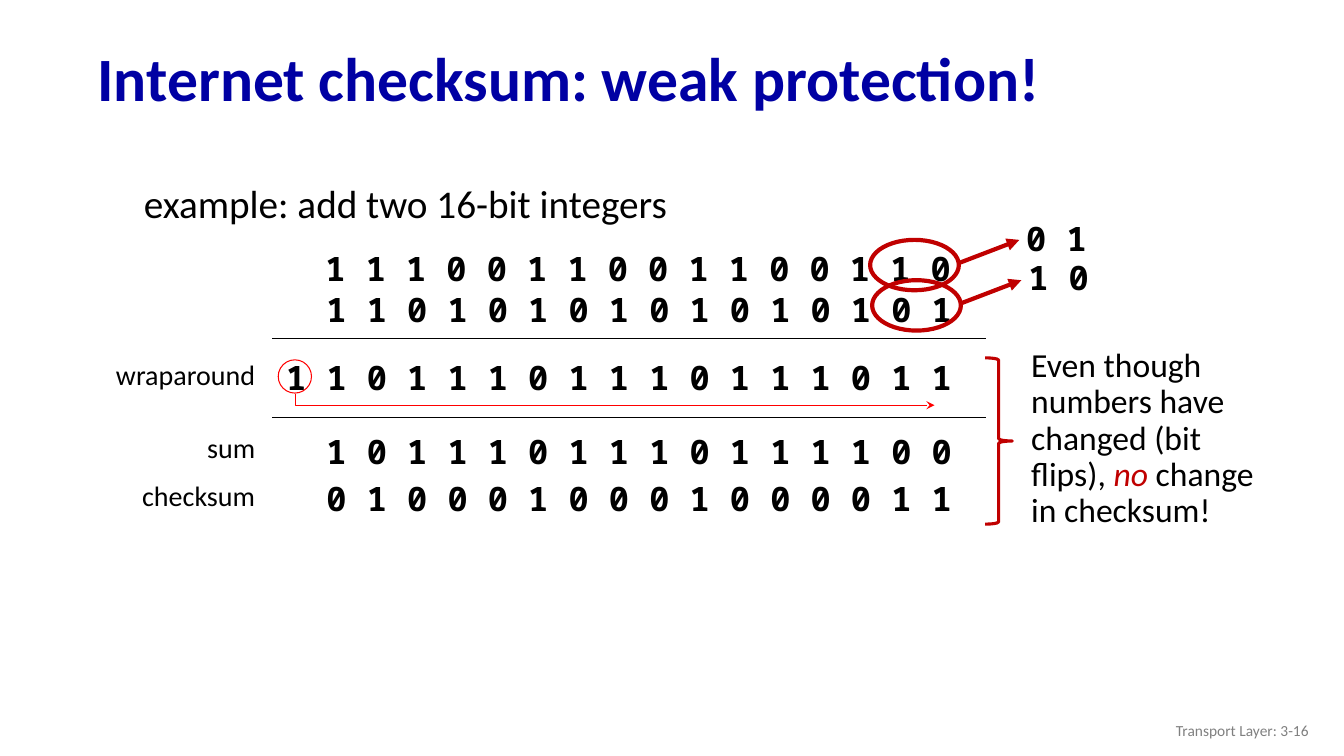
from lxml import etree
from pptx import Presentation, util as u
from pptx.dml.color import RGBColor
from pptx.enum import shapes, text
from pptx.oxml.ns import qn

Inches, Pt = u.Inches, u.Pt
COLORS = {"title": "0000A3", "ink": "000000", "wrap": "FF0000",
          "flip": "C00000", "footer": "808080"}
SANS, MONO = "Calibri", "Noto Sans Mono"

deck = Presentation()
deck.slide_width, deck.slide_height = Inches(13.33), Inches(7.5)
page = deck.slides.add_slide(deck.slide_layouts[6])


def add_text(words, left, top, width, height, size, font=SANS, color="ink",
             bold=False, align="LEFT", anchor="TOP", spacing=1.0):
    box = page.shapes.add_textbox(*map(Inches, (left, top, width, height)))
    frame = box.text_frame
    frame.word_wrap = True
    frame.vertical_anchor = text.MSO_ANCHOR[anchor]
    para = frame.paragraphs[0]
    para.text = words
    para.alignment = text.PP_ALIGN[align]
    para.line_spacing = spacing
    para.font.name, para.font.size, para.font.bold = font, Pt(size), bold
    para.font.color.rgb = RGBColor.from_string(COLORS[color])
    return para


def style_outline(shape, color, weight, arrow=None):
    shape.line.color.rgb = RGBColor.from_string(COLORS[color])
    shape.line.width = Pt(weight)
    props = shape.element.spPr
    if arrow:
        etree.SubElement(props.find(qn("a:ln")), qn("a:tailEnd"), type=arrow)
    if hasattr(shape, "fill"):
        shape.fill.background()
        shape.shadow.inherit = False
    else:
        etree.SubElement(props, qn("a:effectLst"))


# Title, introduction and footer
add_text("Internet checksum: weak protection!", 0.87, 0.32, 12.14, 0.98, 44,
         color="title", bold=True, anchor="MIDDLE", spacing=0.9)
intro = add_text("example: add two 16-bit integers", 1.33, 1.59, 8.5, 0.8, 28,
                 spacing=1.3)
intro.space_before = Pt(10)
add_text("Transport Layer: 3-16", 10.08, 7.05, 3, 0.4, 11, color="footer",
         align="RIGHT", anchor="MIDDLE")

# Binary numbers
for bits, left, top in [
    ("1 1 1 0 0 1 1 0 0 1 1 0 0 1 1 0", 3.13, 2.41),
    ("1 1 0 1 0 1 0 1 0 1 0 1 0 1 0 1", 3.14, 2.82),
    ("1 1 0 1 1 1 0 1 1 1 0 1 1 1 0 1 1", 2.74, 3.49),
    ("1 0 1 1 1 0 1 1 1 0 1 1 1 1 0 0", 3.14, 4.23),
    ("0 1 0 0 0 1 0 0 0 1 0 0 0 0 1 1", 3.14, 4.69),
]:
    add_text(bits, left, top, 7, 0.5, 24, MONO, bold=True)

# Row labels
for label, top in [("wraparound", 3.5), ("sum", 4.22), ("checksum", 4.7)]:
    add_text(label, 0.83, top, 1.8, 0.44, 20, align="RIGHT")

# Rules above and below the wraparound row
for y in (3.36, 4.14):
    rule = page.shapes.add_connector(shapes.MSO_CONNECTOR.STRAIGHT, Inches(2.7),
                                     Inches(y), Inches(9.78), Inches(y))
    style_outline(rule, "ink", 1)

# Carry bit and its path to the last column
carry = page.shapes.add_shape(shapes.MSO_SHAPE.OVAL, Inches(2.76), Inches(3.57),
                              Inches(0.33), Inches(0.33))
style_outline(carry, "wrap", 0.75)
builder = page.shapes.build_freeform(Inches(2.93), Inches(3.91))
builder.add_line_segments([(Inches(2.93), Inches(4.02)),
                           (Inches(9.27), Inches(4.02))], close=False)
style_outline(builder.convert_to_shape(), "wrap", 0.75, "stealth")

# Flipped bits: ring, arrow and new value
for new_bits, left, top, text_top in [("0 1", 8.63, 2.38, 2.11),
                                      ("1 0", 8.65, 2.78, 2.5)]:
    ring = page.shapes.add_shape(shapes.MSO_SHAPE.OVAL, Inches(left), Inches(top),
                                 Inches(0.88), Inches(0.5))
    style_outline(ring, "flip", 3)
    arrow = page.shapes.add_connector(
        shapes.MSO_CONNECTOR.STRAIGHT, Inches(left + 0.88), Inches(top + 0.23),
        Inches(left + 1.48), Inches(top))
    style_outline(arrow, "flip", 3, "triangle")
    add_text(new_bits, left + 1.45, text_top, 1.01, 0.5, 24, MONO, bold=True)

# Conclusion beside the brace
brace = page.shapes.add_shape(shapes.MSO_SHAPE.RIGHT_BRACE, Inches(9.77),
                              Inches(3.55), Inches(0.27), Inches(1.65))
style_outline(brace, "flip", 2.25)
remark = add_text("Even though numbers have changed (bit flips), ",
                  10.13, 3.41, 2.63, 1.92, 24, spacing=0.9)
stress = remark.add_run()
stress.text = "no"
stress.font.italic = True
stress.font.color.rgb = RGBColor.from_string(COLORS["flip"])
remark.add_run().text = " change in checksum!"

deck.save("out.pptx")
